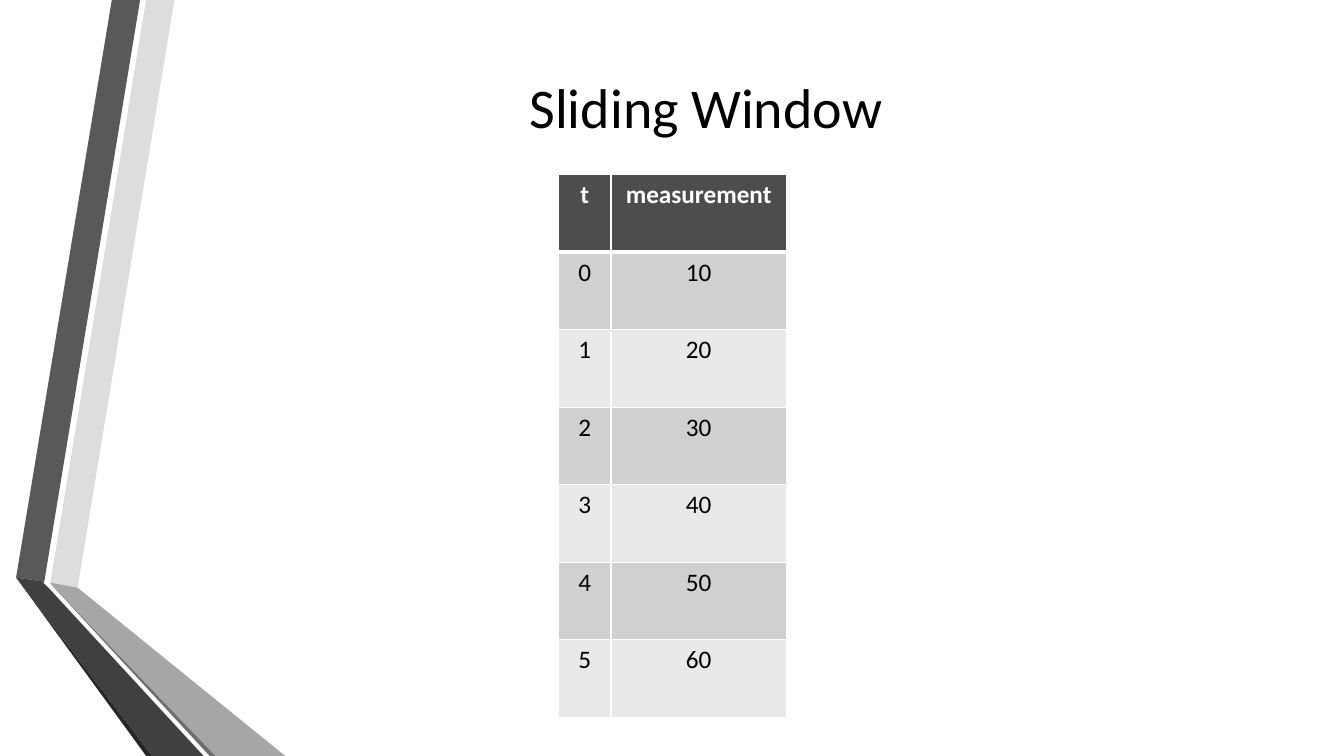
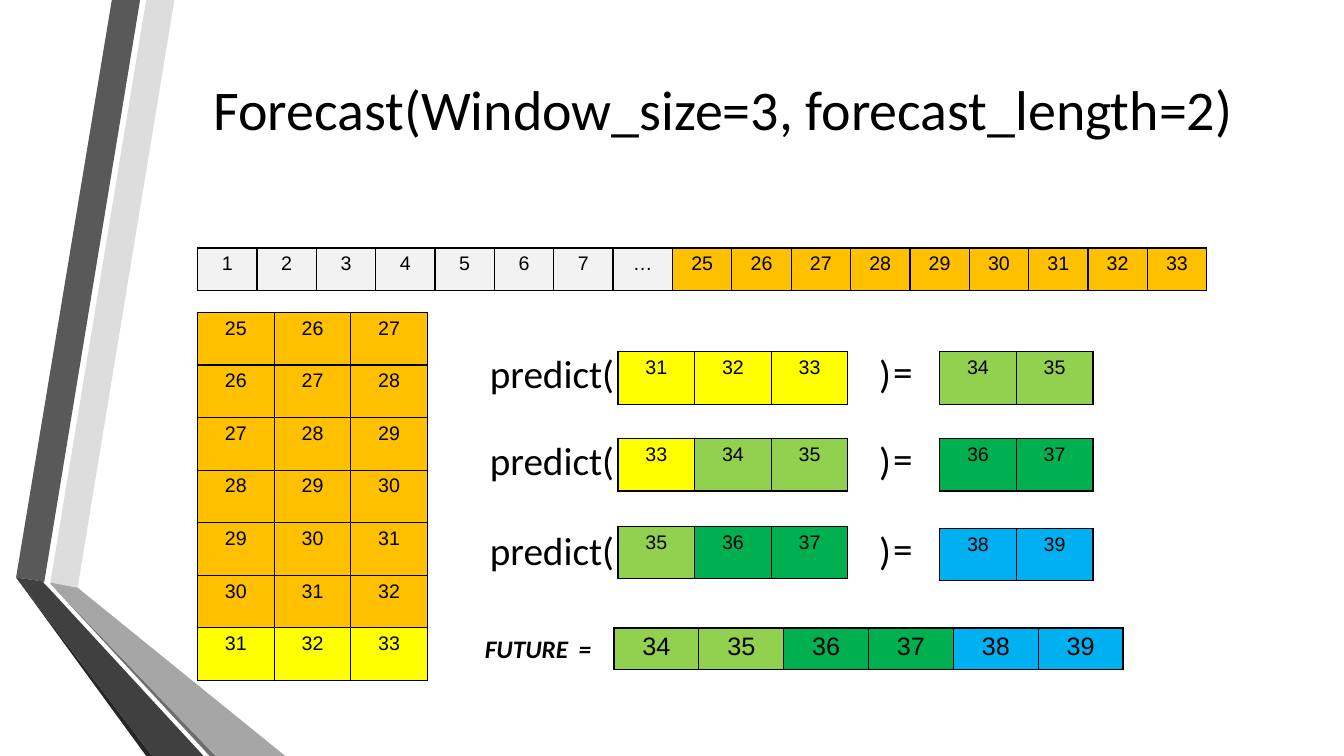
from lxml import etree
from pptx import Presentation
from pptx import util as u
from pptx.dml.color import RGBColor
from pptx.enum import text
from pptx.oxml import ns

# Colours
BLACK = RGBColor(0x00, 0x00, 0x00)
WHITE = RGBColor(0xFF, 0xFF, 0xFF)
HEADER = RGBColor(0x4D, 0x4D, 0x4D)
BAND_DARK = RGBColor(0xD0, 0xD0, 0xD0)
BAND_LIGHT = RGBColor(0xE9, 0xE9, 0xE9)
PALE = RGBColor(0xF2, 0xF2, 0xF2)
ORANGE = RGBColor(0xFF, 0xC0, 0x00)
YELLOW = RGBColor(0xFF, 0xFF, 0x00)
LIME = RGBColor(0x92, 0xD0, 0x50)
GREEN = RGBColor(0x00, 0xB0, 0x50)
BLUE = RGBColor(0x00, 0xB0, 0xF0)

# Ribbon outlines shared by all slides, back to front
RIBBONS = [
    (RGBColor(0xDD, 0xDD, 0xDD), [(0.5, 5.78), (0.77, 5.83), (1.73, 0), (1.45, 0)]),
    (RGBColor(0x59, 0x59, 0x59), [(1.39, 0), (1.11, 0), (0.16, 5.73), (0.44, 5.77)]),
    (RGBColor(0x26, 0x26, 0x26), [(0.16, 5.73), (1.45, 7.5), (1.51, 7.5)]),
    (RGBColor(0x6E, 0x6E, 0x6E), [(0.5, 5.79), (2.08, 7.5), (2.14, 7.5)]),
    (RGBColor(0xA6, 0xA6, 0xA6),
     [(0.5, 5.79), (2.14, 7.5), (2.83, 7.5), (0.77, 5.83), (0.5, 5.78)]),
    (RGBColor(0x40, 0x40, 0x40),
     [(2.02, 7.5), (0.48, 5.83), (0.43, 5.78), (0.44, 5.77), (0.16, 5.73), (1.51, 7.5)]),
]

# Text formats
TITLE = {"name": "Calibri", "size": u.Pt(40)}
MEASURE = {"name": "Calibri", "size": u.Pt(18), "bold": False}
MEASURE_HEAD = {**MEASURE, "bold": True}
CELL = {"name": "Arial", "size": u.Pt(14)}
FUTURE_CELL = {"name": "Arial", "size": u.Pt(18)}
CALL = {"name": "Calibri", "size": u.Pt(28)}
FUTURE = {"name": "Calibri", "size": u.Pt(18), "bold": True, "italic": True}

# Series on the forecast slide
LEFT, SERIES_TOP, WINDOWS_TOP = 1.96, 2.46, 3.1
CELL_W, CELL_H = 0.76, 3.65 / 7
STEP_W, STEP_H = 10.01 / 17, 0.42
SERIES_FILL = {31: YELLOW, 32: YELLOW, 33: YELLOW, 34: LIME, 35: LIME,
               36: GREEN, 37: GREEN, 38: BLUE, 39: BLUE}

# Tops of each prediction: inputs, outputs, call text
PREDICTIONS = [(3.49, 3.49, 3.42), (4.35, 4.35, 4.28), (5.22, 5.24, 5.17)]


def write(tf, content, fmt, color=BLACK, align=text.PP_ALIGN.LEFT):
    p = tf.paragraphs[0]
    p.alignment = align
    r = p.add_run()
    r.text = content
    for key, value in fmt.items():
        setattr(r.font, key, value)
    r.font.color.rgb = color


def add_ribbons(s, layout):
    """Draw the ribbons and move them to the layout, behind its placeholders."""
    for i, (color, points) in enumerate(RIBBONS):
        start, *rest = [(u.Inches(x), u.Inches(y)) for x, y in points]
        builder = s.shapes.build_freeform(*start)
        builder.add_line_segments(rest, close=True)
        sp = builder.convert_to_shape()
        sp.shadow.inherit = False
        sp.fill.solid()
        sp.fill.fore_color.rgb = color
        sp.line.fill.background()
        layout.shapes.element.insert(2 + i, sp.element)


def set_title(s, content, left, top):
    sp = s.shapes.title
    sp.left, sp.top = u.Inches(left), u.Inches(top)
    sp.width, sp.height = u.Inches(10.96), u.Inches(1.92)
    tf = sp.text_frame
    tf.word_wrap = True
    tf.auto_size = text.MSO_AUTO_SIZE.NONE
    tf.vertical_anchor = text.MSO_ANCHOR.MIDDLE
    write(tf, content, TITLE, align=text.PP_ALIGN.CENTER)


def add_label(s, content, left, top, width, height, fmt, tab=None):
    tf = s.shapes.add_textbox(*map(u.Inches, (left, top, width, height))).text_frame
    tf.word_wrap = True
    write(tf, content, fmt)
    if tab:
        p_pr = tf.paragraphs[0]._p.get_or_add_pPr()
        tabs = etree.SubElement(p_pr, ns.qn("a:tabLst"))
        etree.SubElement(tabs, ns.qn("a:tab"), pos=str(u.Inches(tab)), algn="l")


def set_border(cell, side, color, points):
    tc_pr = cell._tc.get_or_add_tcPr()
    ln = etree.SubElement(tc_pr, ns.qn(f"a:ln{side}"), w=str(u.Pt(points)))
    fill = etree.SubElement(ln, ns.qn("a:solidFill"))
    etree.SubElement(fill, ns.qn("a:srgbClr"), val=str(color))


def fill_cell(cell, content, fill, fmt, color=BLACK, line=BLACK, top=1, bottom=1):
    for side, points in (("L", 1), ("R", 1), ("T", top), ("B", bottom)):
        set_border(cell, side, line, points)
    cell.fill.solid()
    cell.fill.fore_color.rgb = fill
    write(cell.text_frame, str(content), fmt, color, text.PP_ALIGN.CENTER)


def add_grid(s, rows, cols, left, top, width, height):
    frame = s.shapes.add_table(rows, cols, *map(u.Inches, (left, top, width, height)))
    frame.table.first_row = frame.table.horz_banding = False
    return frame.table


def add_series(s, rows, left, top, fill=None, cell_w=CELL_W, cell_h=CELL_H, fmt=CELL):
    """Add a table of values, in one fill or coloured by value."""
    tbl = add_grid(s, len(rows), len(rows[0]), left, top,
                   cell_w * len(rows[0]), cell_h * len(rows))
    for i, row in enumerate(rows):
        for j, value in enumerate(row):
            fill_cell(tbl.cell(i, j), value, fill or SERIES_FILL[value], fmt)


def build_window_slide(s):
    set_title(s, "Sliding Window", 1.52, 0.09)
    rows = [("t", "measurement")] + [(t, 10 * (t + 1)) for t in range(6)]
    tbl = add_grid(s, len(rows), 2, 5.54, 1.73, 2.26, 5.39)
    for col, width in zip(tbl.columns, (0.52, 1.74)):
        col.width = u.Inches(width)
    for i, row in enumerate(rows):
        for j, value in enumerate(row):
            cell = tbl.cell(i, j)
            if i == 0:
                fill_cell(cell, value, HEADER, MEASURE_HEAD, WHITE, WHITE, bottom=3)
            else:
                fill_cell(cell, value, BAND_DARK if i % 2 else BAND_LIGHT, MEASURE,
                          line=WHITE, top=3 if i == 1 else 1)


def add_prediction(s, first, inputs_top, outputs_top, call_top):
    add_series(s, [range(first, first + 3)], 6.13, inputs_top)
    add_label(s, "predict(\t)", 4.76, call_top, 4.22, 0.57, CALL, tab=3.86)
    add_label(s, "=", 8.76, call_top - 0.02, 2.28, 0.57, CALL)
    add_series(s, [range(first + 3, first + 5)], 9.32, outputs_top)


def build_forecast_slide(s):
    set_title(s, "Forecast(Window_size=3, forecast_length=2)", 1.69, 0.11)

    # Whole series and its sliding windows
    recent = range(25, 34)
    early = [*range(1, 8), "…"]
    windows = [range(n, n + 3) for n in range(25, 32)]
    add_series(s, [[*early, *recent]], LEFT, SERIES_TOP, PALE, STEP_W, STEP_H)
    add_series(s, windows, LEFT, WINDOWS_TOP, ORANGE)

    # Highlights over the recent steps and the last window
    add_series(s, [recent], LEFT + len(early) * STEP_W, SERIES_TOP, ORANGE, STEP_W, STEP_H)
    add_series(s, windows[-1:], LEFT, WINDOWS_TOP + 6 * CELL_H)

    # Repeated predictions, two steps further each time
    for i, tops in enumerate(PREDICTIONS):
        add_prediction(s, 31 + 2 * i, *tops)

    # Resulting forecast
    add_series(s, [range(34, 40)], 6.09, 6.23, None, 5.05 / 6, 0.41, FUTURE_CELL)
    add_label(s, "FUTURE\t=", 4.71, 6.23, 1.38, 0.4, FUTURE, tab=0.93)


def main():
    prs = Presentation()
    prs.slide_width, prs.slide_height = u.Inches(13.33), u.Inches(7.5)
    layout = prs.slide_layouts[5]
    slides = [prs.slides.add_slide(layout) for _ in range(2)]
    add_ribbons(slides[0], layout)
    build_window_slide(slides[0])
    build_forecast_slide(slides[1])
    prs.save("out.pptx")


if __name__ == "__main__":
    main()
